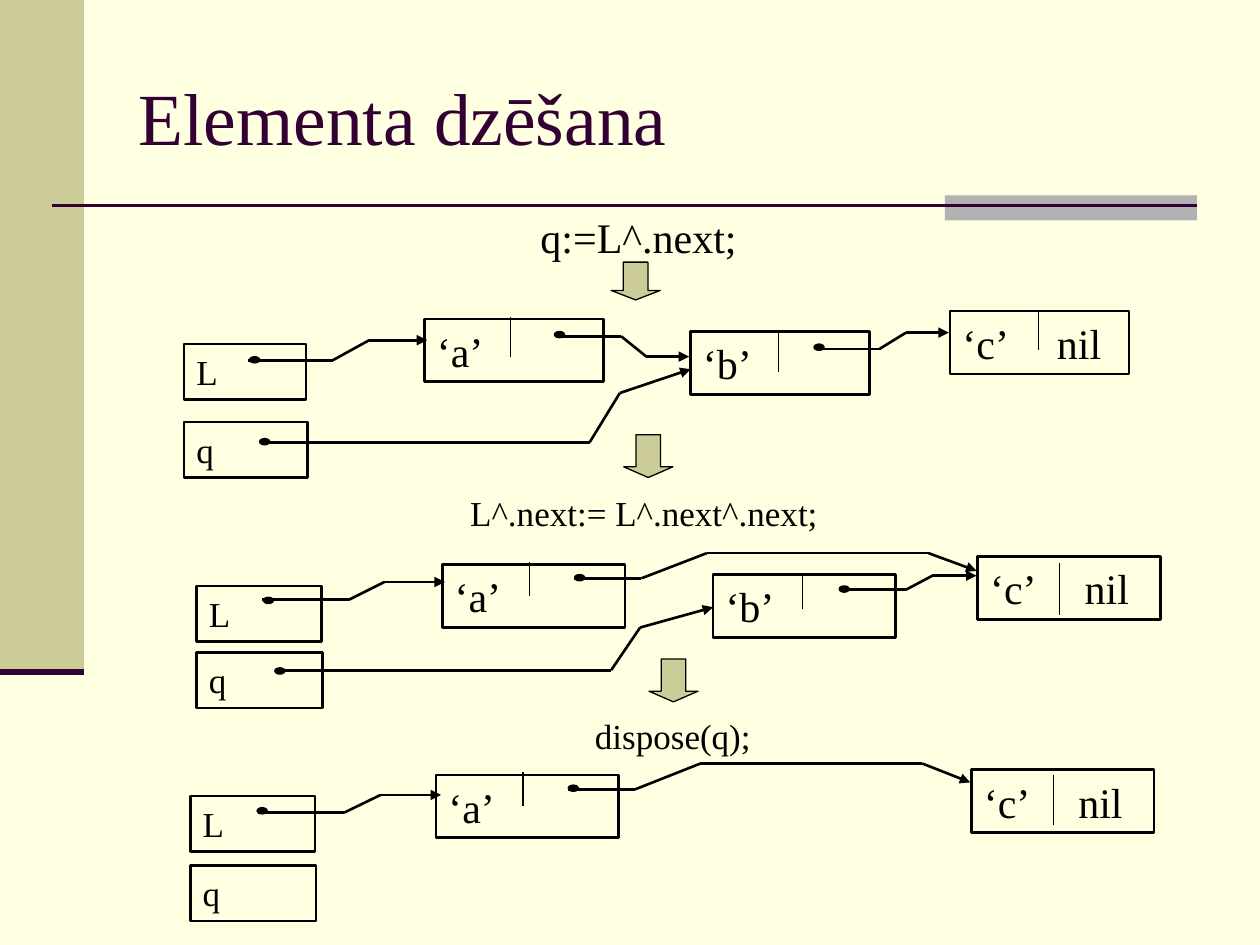
from dataclasses import dataclass
from itertools import pairwise

from lxml import etree
from pptx import Presentation
from pptx.dml.color import RGBColor
from pptx.enum.shapes import MSO_CONNECTOR, MSO_SHAPE
from pptx.enum.text import MSO_ANCHOR, PP_ALIGN
from pptx.oxml.ns import qn
from pptx.util import Pt

RECT = MSO_SHAPE.RECTANGLE
DOT = MSO_SHAPE.FLOWCHART_CONNECTOR
DOWN = MSO_SHAPE.DOWN_ARROW
STRAIGHT = MSO_CONNECTOR.STRAIGHT
TOP, MIDDLE = MSO_ANCHOR.TOP, MSO_ANCHOR.MIDDLE
LEFT, CENTER = PP_ALIGN.LEFT, PP_ALIGN.CENTER


@dataclass(frozen=True)
class Theme:
    font: str = "Times New Roman"
    background: str = "FFFFE1"
    olive: str = "CCCC99"
    gray: str = "B2B2B2"
    plum: str = "330033"
    ink: str = "000000"
    title: int = 42
    large: int = 24
    small: int = 20
    thick: float = 1.5
    thin: float = 0.75


T = Theme()
NODE_H, POINTER_H = 36, 31.7
NIL_TAB = 54

STEPS = [
    ("q:=L^.next;", T.large, (60, 117.4, 609.8, 36)),
    ("L^.next:= L^.next^.next;", T.small, (49, 277.2, 638, 31.7)),
    ("dispose(q);", T.small, (65.5, 404.6, 638, 31.7)),
]
DOWN_ARROWS = [
    (349.2, 149.8, 28.1, 21.6),
    (356.4, 248.4, 28.1, 24.5),
    (370.8, 376.6, 28.1, 24.5),
]
LISTS = [
    {
        "node_w": 102.2,
        "nodes": [("‘a’", 242.6, 182.2), ("‘b’", 394.6, 189.4), ("‘c’\tnil", 542.9, 177.8)],
        "pointers": [("L", 105.1, 196.6, 69.8), ("q", 105.1, 241.2, 70.6)],
        "dividers": [(291.6, 181.4, 203.8), (445, 189.4, 212.4), (593.3, 177.8, 200.2)],
        "dots": [(142.6, 203.8), (316.8, 189.4), (465.1, 196.6), (148.3, 250.6)],
        "links": [
            [(141.8, 205.9), (190.1, 205.9), (211, 194.4), (244.1, 194.4)],
            [(319, 192.2), (355, 192.2), (369.4, 203.8), (393.8, 203.8)],
            [(467.3, 199.4), (502.6, 199.4), (517.7, 190.1), (542.2, 190.1)],
            [(151.9, 252.7), (337, 252.7), (354.2, 224.6), (394.6, 211)],
        ],
    },
    {
        "node_w": 104.4,
        "nodes": [("‘a’", 252.7, 322.6), ("‘b’", 407.5, 328.3), ("‘c’\tnil", 558.7, 318.2)],
        "pointers": [("L", 112.3, 334.8, 71.3), ("q", 112.3, 373, 72)],
        "dividers": [(302.4, 321.1, 340.6), (458.6, 328.3, 347.8), (605.5, 321.8, 351.4)],
        "dots": [(150.5, 341.3), (328.3, 328.3), (479.5, 334.8), (157, 381.6)],
        "links": [
            [(149.8, 342.7), (199.4, 342.7), (219.6, 332.6), (254.2, 332.6)],
            [(481.7, 337), (517.7, 337), (532.8, 329), (558, 329)],
            [(159.8, 383), (349.2, 383), (365.8, 358.6), (407.5, 347)],
            [(328.3, 330.5), (366.5, 330.5), (403.9, 316.1), (530.6, 316.1), (558, 326.2)],
        ],
    },
    {
        "node_w": 104.4,
        "nodes": [("‘a’", 249.1, 442.8), ("‘c’\tnil", 555.1, 439.9)],
        "pointers": [("L", 108.7, 455, 71.3), ("q", 108.7, 494.6, 72)],
        "dividers": [(298.8, 441.4, 460.8), (601.9, 442.8, 471.6)],
        "dots": [(146.9, 461.5), (324.7, 448.6)],
        "links": [
            [(147.6, 464.4), (196.6, 464.4), (217.4, 454.3), (252, 454.3)],
            [(324.7, 451.1), (362.9, 451.1), (400.3, 436.3), (527, 436.3), (554.4, 447.1)],
        ],
    },
]


def rgb(color):
    return RGBColor.from_string(color)


def write(tf, text, size, color=T.ink, align=LEFT, anchor=TOP):
    tf.text = text
    tf.word_wrap = True
    tf.vertical_anchor = anchor
    p = tf.paragraphs[0]
    p.alignment = align
    if "\t" in text:
        tabs = etree.SubElement(p._p.get_or_add_pPr(), qn("a:tabLst"))
        etree.SubElement(tabs, qn("a:tab"), pos=str(Pt(NIL_TAB)), algn="l")
    for r in p.runs:
        r.font.name = T.font
        r.font.size = Pt(size)
        r.font.color.rgb = rgb(color)


def add_shape(s, kind, box, fill=None, line=None, width=T.thin):
    sp = s.shapes.add_shape(kind, *map(Pt, box))
    sp.shadow.inherit = False
    if fill:
        sp.fill.solid()
        sp.fill.fore_color.rgb = rgb(fill)
    else:
        sp.fill.background()
    if line:
        sp.line.color.rgb = rgb(line)
        sp.line.width = Pt(width)
    else:
        sp.line.fill.background()
    return sp


def add_box(s, text, box, size):
    sp = add_shape(s, RECT, box, line=T.ink, width=T.thick)
    write(sp.text_frame, text, size)


def add_line(s, start, end, width=T.thick, color=T.ink, arrow=False):
    c = s.shapes.add_connector(STRAIGHT, *map(Pt, (*start, *end)))
    c.line.color.rgb = rgb(color)
    c.line.width = Pt(width)
    if arrow:
        etree.SubElement(c.line._get_or_add_ln(), qn("a:tailEnd"), type="triangle")
    etree.SubElement(c._element.spPr, qn("a:effectLst"))


def add_link(s, points):
    for start, end in pairwise(points):
        add_line(s, start, end, arrow=end == points[-1])


def add_title(s, text):
    sp = s.shapes.title
    sp.left, sp.top, sp.width, sp.height = map(Pt, (72, 21.6, 612, 90))
    write(sp.text_frame, text, T.title, T.plum, anchor=MIDDLE)


def add_decor(s):
    add_shape(s, RECT, (0, 0, 48, 384), T.olive)
    add_shape(s, RECT, (540, 111.6, 144, 14.4), T.gray)
    add_line(s, (30, 117.6), (684, 117.6), color=T.plum)
    add_line(s, (0, 384), (48, 384), 3.5, T.plum)


def add_step(s, text, size, box):
    tb = s.shapes.add_textbox(*map(Pt, box))
    write(tb.text_frame, text, size, align=CENTER)


def add_list(s, spec_row):
    for text, x, y in spec_row["nodes"]:
        add_box(s, text, (x, y, spec_row["node_w"], NODE_H), T.large)
    for text, x, y, w in spec_row["pointers"]:
        add_box(s, text, (x, y, w, POINTER_H), T.small)
    for x, top, bottom in spec_row["dividers"]:
        add_line(s, (x, top), (x, bottom), T.thin)
    for x, y in spec_row["dots"]:
        add_shape(s, DOT, (x, y, 5.8, 3.6), T.ink, T.ink)
    for points in spec_row["links"]:
        add_link(s, points)


def main():
    prs = Presentation()
    prs.slide_width, prs.slide_height = Pt(720), Pt(540)
    s = prs.slides.add_slide(prs.slide_layouts[5])
    s.background.fill.solid()
    s.background.fill.fore_color.rgb = rgb(T.background)
    add_decor(s)
    add_title(s, "Elementa dzēšana")
    for step in STEPS:
        add_step(s, *step)
    for box in DOWN_ARROWS:
        sp = add_shape(s, DOWN, box, T.olive, T.ink)
        sp.adjustments[0], sp.adjustments[1] = 0.5, 0.25
    for row in LISTS:
        add_list(s, row)
    prs.save("out.pptx")


if __name__ == "__main__":
    main()
